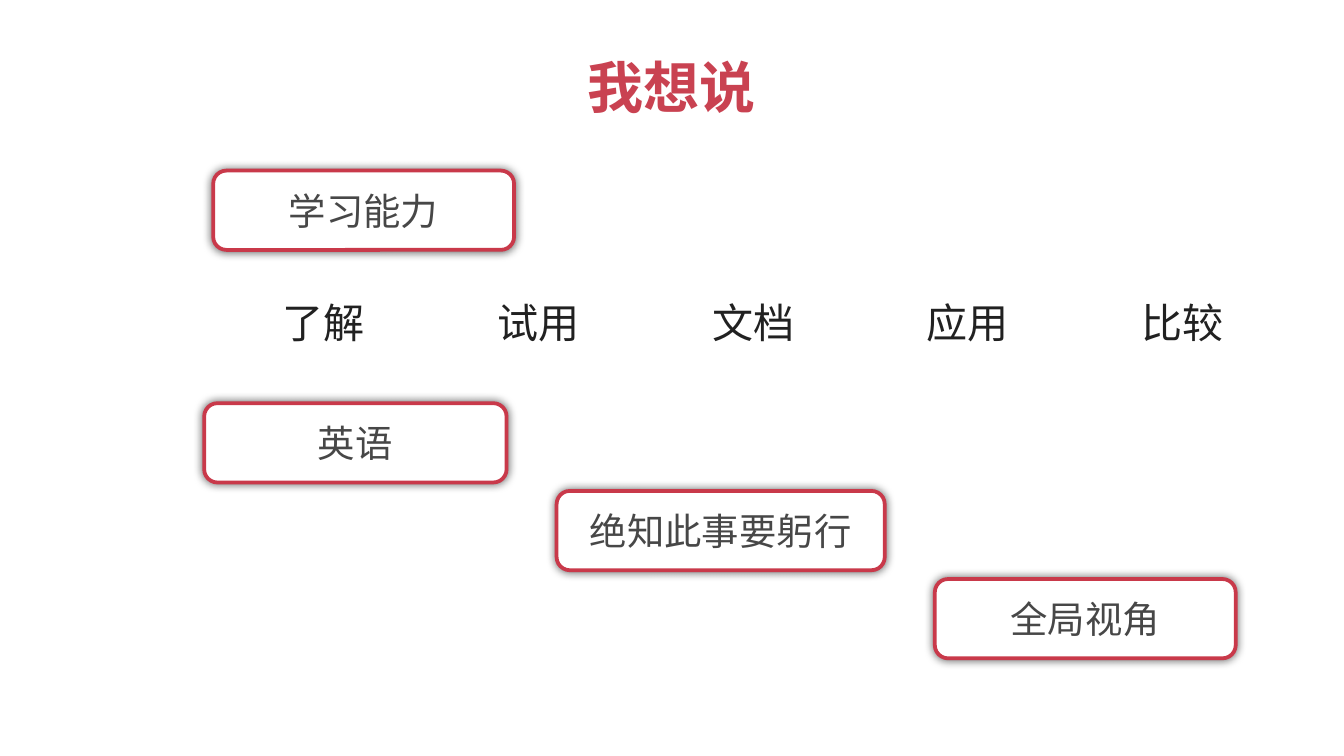
from lxml import etree
from pptx import Presentation
from pptx.dml.color import RGBColor
from pptx.enum.shapes import MSO_SHAPE
from pptx.enum.text import MSO_ANCHOR, PP_ALIGN
from pptx.oxml.ns import qn
from pptx.util import Pt

ROUNDED = MSO_SHAPE.ROUNDED_RECTANGLE
MIDDLE = MSO_ANCHOR.MIDDLE
CENTER, LEFT = PP_ALIGN.CENTER, PP_ALIGN.LEFT

FONT = "Noto Sans CJK SC"
TITLE_RED = RGBColor(0xC9, 0x42, 0x51)
BORDER_RED = RGBColor(0xC9, 0x39, 0x4A)
CARD_GRAY = RGBColor(0x47, 0x47, 0x47)
STEP_BLACK = RGBColor(0x21, 0x21, 0x21)
WHITE = RGBColor(0xFF, 0xFF, 0xFF)

TITLE = "我想说"
STEPS = ["了解", "试用", "文档", "应用", "比较"]
CARDS = [
    ("学习能力", 114.2, 91.4, 161.2),
    ("全局视角", 500.8, 310.2, 161.2),
    ("英语", 109.4, 216, 162),
    ("绝知此事要躬行", 298.2, 263, 175.8),
]
CARD_HEIGHT = 42.5
STEP_LEFT, STEP_TOP, STEP_PITCH = 144.2, 152.6, 115.1
STEP_WIDTH, STEP_HEIGHT = 78.5, 40.3


def write(frame, text, size, color, align, bold=False):
    frame.word_wrap = True
    frame.vertical_anchor = MIDDLE
    paragraph = frame.paragraphs[0]
    paragraph.text = text
    paragraph.alignment = align
    font = paragraph.font
    font.size = Pt(size)
    font.bold = bold
    font.color.rgb = color
    font.name = FONT
    defaults = paragraph._p.pPr.find(qn("a:defRPr"))
    etree.SubElement(defaults, qn("a:ea"), typeface=FONT)


def add_glow_shadow(card):
    card.shadow.inherit = False
    effects = card._element.spPr.find(qn("a:effectLst"))
    shadow = etree.SubElement(effects, qn("a:outerShdw"), blurRad=str(Pt(5)),
                              dist="0", dir="0", rotWithShape="0")
    black = etree.SubElement(shadow, qn("a:srgbClr"), val="000000")
    etree.SubElement(black, qn("a:alpha"), val="60000")


def add_card(slide, text, left, top, width):
    card = slide.shapes.add_shape(ROUNDED, Pt(left), Pt(top), Pt(width), Pt(CARD_HEIGHT))
    card.adjustments[0] = 0.167
    card.fill.solid()
    card.fill.fore_color.rgb = WHITE
    card.line.color.rgb = BORDER_RED
    card.line.width = Pt(2)
    add_glow_shadow(card)
    write(card.text_frame, text, 20, CARD_GRAY, CENTER)


def add_step(slide, index, text):
    step = slide.shapes.add_textbox(Pt(STEP_LEFT + index * STEP_PITCH), Pt(STEP_TOP),
                                    Pt(STEP_WIDTH), Pt(STEP_HEIGHT))
    write(step.text_frame, text, 22, STEP_BLACK, LEFT)


def add_title(slide):
    title = slide.shapes.title
    title.left, title.top = Pt(307.4), Pt(24.5)
    title.width, title.height = Pt(104.4), Pt(43.2)
    frame = title.text_frame
    frame.margin_left = frame.margin_right = 0
    frame.margin_top = frame.margin_bottom = 0
    write(frame, TITLE, 30, TITLE_RED, CENTER, bold=True)


def main():
    deck = Presentation()
    deck.slide_width, deck.slide_height = Pt(720), Pt(405)
    slide = deck.slides.add_slide(deck.slide_layouts[5])
    add_title(slide)
    for card in CARDS:
        add_card(slide, *card)
    for index, text in enumerate(STEPS):
        add_step(slide, index, text)
    deck.save("out.pptx")


if __name__ == "__main__":
    main()
